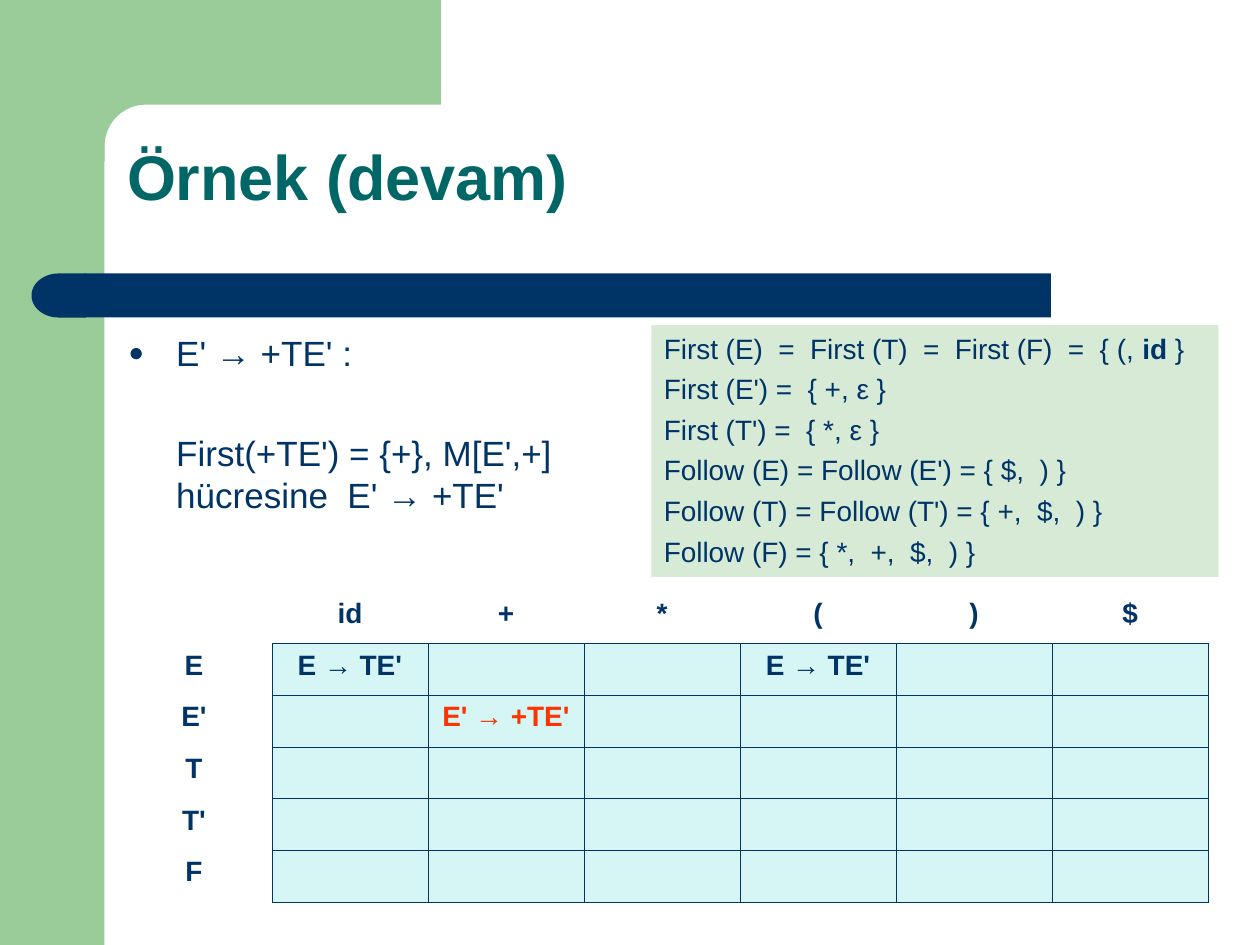
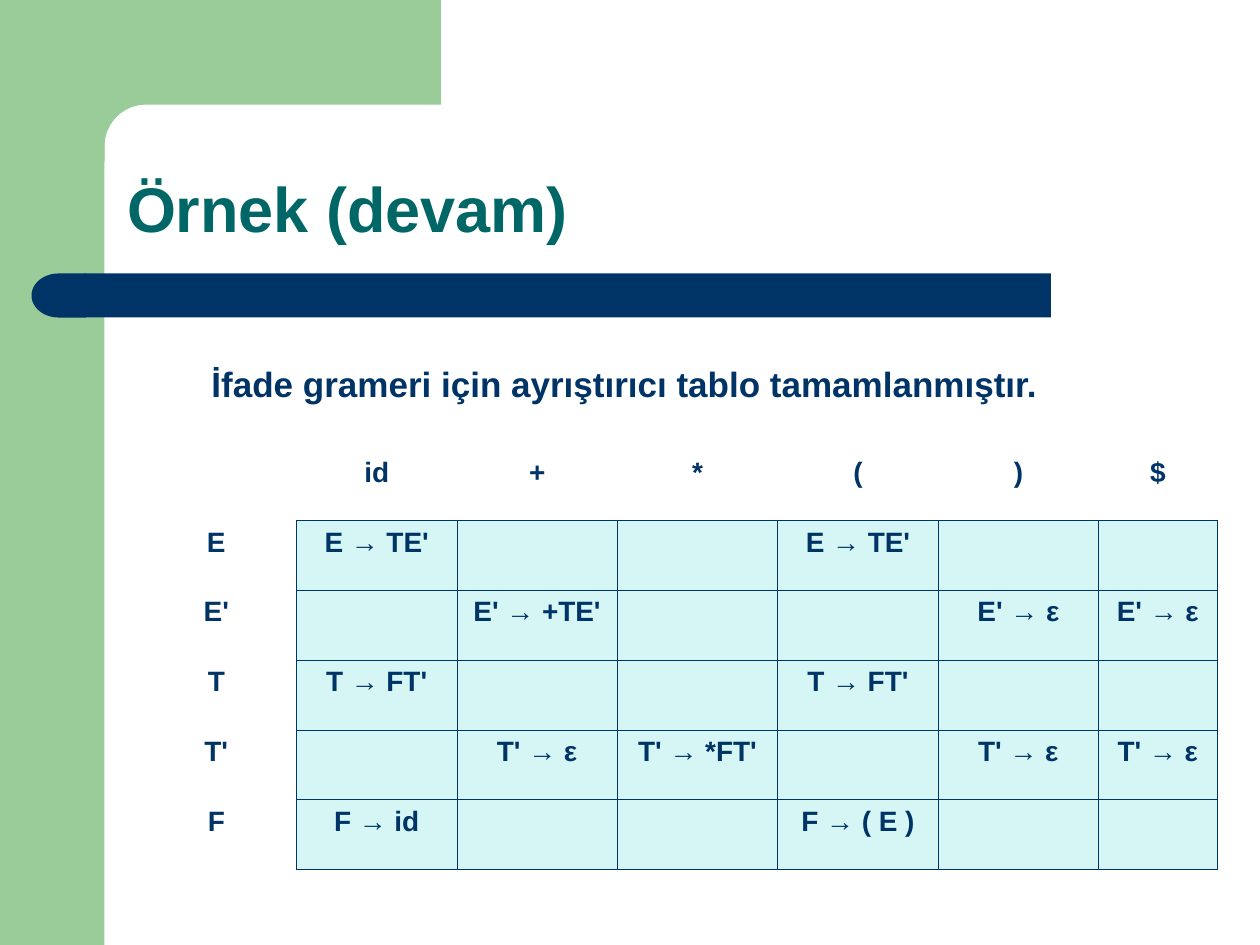
from dataclasses import dataclass
from math import cos, pi, sin
from typing import Any

from lxml.etree import SubElement
from pptx import Presentation
from pptx.dml.color import RGBColor
from pptx.enum.shapes import MSO_SHAPE
from pptx.enum.text import MSO_ANCHOR, PP_ALIGN
from pptx.oxml.ns import qn
from pptx.util import Inches, Pt

NAVY = RGBColor(0x00, 0x33, 0x66)
TEAL = RGBColor(0x00, 0x66, 0x66)
GREEN = RGBColor(0x99, 0xCC, 0x99)
PALE_GREEN = RGBColor(0xD6, 0xEA, 0xD6)
PALE_CYAN = RGBColor(0xD5, 0xF6, 0xF5)
RED = RGBColor(0xFF, 0x33, 0x00)

TITLE = {"size": Pt(36), "bold": True, "color": TEAL}
BODY = {"size": Pt(20), "bold": False, "color": NAVY}
STATEMENT = {"size": Pt(20), "bold": True, "color": NAVY}
SETS = {"size": Pt(16), "bold": False, "color": NAVY}
SETS_BOLD = {**SETS, "bold": True}
CELL = {"size": Pt(16), "bold": True, "color": NAVY}
NEW_RULE = {**CELL, "color": RED}

TERMINALS = ["id", "+", "*", "(", ")", "$"]
NONTERMINALS = ["E", "E'", "T", "T'", "F"]
BORDER_SIDES = ["L", "R", "T", "B"]
HANGING = Inches(0.38)


@dataclass
class Box:
    left: float
    top: float
    width: float
    height: float

    def emu(self) -> list[int]:
        return [Inches(v) for v in (self.left, self.top, self.width, self.height)]


@dataclass
class Band:
    preset: MSO_SHAPE
    box: Box
    color: RGBColor
    rotation: int = 0


@dataclass
class ParsingTable:
    box: Box
    last_column: float
    rules: dict[tuple[str, str], str]
    new_rule: str = ""


SIDE_BAND = Band(MSO_SHAPE.RECTANGLE, Box(0, 0, 0.83, 7.5), GREEN)
TITLE_BANDS = [
    Band(MSO_SHAPE.RECTANGLE, Box(0.67, 2.17, 7.67, 0.35), NAVY),
    Band(MSO_SHAPE.FLOWCHART_DELAY, Box(0.25, 2.17, 0.43, 0.35), NAVY, 180),
]


def paint(shape: Any, color: RGBColor) -> None:
    shape.shadow.inherit = False
    shape.fill.solid()
    shape.fill.fore_color.rgb = color
    shape.line.fill.background()


def add_band(slide: Any, band: Band) -> Any:
    shape = slide.shapes.add_shape(band.preset, *band.box.emu())
    shape.rotation = band.rotation
    paint(shape, band.color)
    return shape


def add_corner(slide: Any) -> None:
    """Green top block whose inner corner is a quarter circle."""
    edge, radius, steps = 0.83, 0.33, 12
    center = edge + radius
    angles = [pi / 2 * i / steps for i in range(steps + 1)]
    arc = [(center - radius * sin(a), center - radius * cos(a)) for a in angles]
    outline = [(3.5, 0), (3.5, edge), *arc, (edge, 1.28), (0.5, 1.28), (0.5, 0)]
    points = [(Inches(x), Inches(y)) for x, y in outline]
    builder = slide.shapes.build_freeform(*points[0])
    builder.add_line_segments(points[1:], close=True)
    paint(builder.convert_to_shape(), GREEN)


def write(paragraph: Any, text: str, style: dict[str, Any]) -> None:
    run = paragraph.add_run()
    run.text = text
    run.font.name = "Arial"
    for name, value in style.items():
        if name == "color":
            run.font.color.rgb = value
        else:
            setattr(run.font, name, value)


def add_text(slide: Any, box: Box) -> Any:
    frame = slide.shapes.add_textbox(*box.emu()).text_frame
    frame.word_wrap = True
    return frame


def start_slide(deck: Any, title_top: float) -> Any:
    """Blank slide with the shared bands and the title."""
    slide = deck.slides.add_slide(deck.slide_layouts[6])
    add_band(slide, SIDE_BAND)
    add_corner(slide)
    for band in TITLE_BANDS:
        add_band(slide, band)
    title = add_text(slide, Box(0.91, title_top, 8.51, 1.09))
    title.vertical_anchor = MSO_ANCHOR.BOTTOM
    title.paragraphs[0].line_spacing = 0.9
    write(title.paragraphs[0], "Örnek (devam)", TITLE)
    return slide


def set_borders(cell: Any, visible: str) -> None:
    properties = cell._tc.get_or_add_tcPr()
    for side in BORDER_SIDES:
        line = SubElement(properties, qn(f"a:ln{side}"), w=str(Pt(0.45)))
        if side in visible:
            fill = SubElement(line, qn("a:solidFill"))
            SubElement(fill, qn("a:srgbClr"), val=str(NAVY))
        else:
            SubElement(line, qn("a:noFill"))


def add_parsing_table(slide: Any, spec_: ParsingTable) -> None:
    grid = [["", *TERMINALS]]
    for head in NONTERMINALS:
        grid.append([head, *(spec_.rules.get((head, t), "") for t in TERMINALS)])

    table = slide.shapes.add_table(len(grid), len(grid[0]), *spec_.box.emu()).table
    table.first_row = table.horz_banding = False
    equal_width = (spec_.box.width - spec_.last_column) / len(TERMINALS)
    for column in table.columns:
        column.width = Inches(equal_width)
    table.columns[len(TERMINALS)].width = Inches(spec_.last_column)
    for row in table.rows:
        row.height = Inches(spec_.box.height / len(grid))

    for r, texts in enumerate(grid):
        for c, text in enumerate(texts):
            cell = table.cell(r, c)
            if r and c:
                set_borders(cell, "LRTB")
                cell.fill.solid()
                cell.fill.fore_color.rgb = PALE_CYAN
            else:
                set_borders(cell, "B" if c else "R" if r else "")
                cell.fill.background()
            if text:
                paragraph = cell.text_frame.paragraphs[0]
                paragraph.alignment = PP_ALIGN.CENTER
                write(paragraph, text, NEW_RULE if text == spec_.new_rule else CELL)


def add_rule_step(slide: Any) -> None:
    frame = add_text(slide, Box(0.92, 2.58, 4.12, 1.95))
    rule, result = frame.paragraphs[0], frame.add_paragraph()
    properties = rule._p.get_or_add_pPr()
    properties.set("marL", str(HANGING))
    properties.set("indent", str(-HANGING))
    bullet_color = SubElement(properties, qn("a:buClr"))
    SubElement(bullet_color, qn("a:srgbClr"), val=str(NAVY))
    SubElement(properties, qn("a:buSzPct"), val="75000")
    SubElement(properties, qn("a:buFont"), typeface="Arial")
    SubElement(properties, qn("a:buChar"), char="●")
    write(rule, "E' → +TE' :", BODY)

    result._p.get_or_add_pPr().set("marL", str(HANGING))
    result.space_before = Pt(33)
    write(result, "First(+TE') = {+}, M[E',+] hücresine  E' → +TE'", BODY)


def add_first_follow_sets(slide: Any) -> None:
    panel = add_band(slide, Band(MSO_SHAPE.RECTANGLE, Box(5.17, 2.58, 4.5, 2), PALE_GREEN))
    frame = panel.text_frame
    frame.word_wrap = True
    frame.vertical_anchor = MSO_ANCHOR.TOP
    lines = [
        [("First (E)  =  First (T)  =  First (F)  =  { (, ", SETS),
         ("id", SETS_BOLD), (" }", SETS)],
        [("First (E') =  { +, ε }", SETS)],
        [("First (T') =  { *, ε }", SETS)],
        [("Follow (E) = Follow (E') = { $,  ) }", SETS)],
        [("Follow (T) = Follow (T') = { +,  $,  ) }", SETS)],
        [("Follow (F) = { *,  +,  $,  ) }", SETS)],
    ]
    for i, runs in enumerate(lines):
        paragraph = frame.add_paragraph() if i else frame.paragraphs[0]
        paragraph.alignment = PP_ALIGN.LEFT
        if i:
            paragraph.space_before = Pt(4)
        for text, style in runs:
            write(paragraph, text, style)


def main() -> None:
    deck = Presentation()
    deck.slide_width, deck.slide_height = Inches(10), Inches(7.5)

    first_rules = {
        ("E", "id"): "E → TE'", ("E", "("): "E → TE'",
        ("E'", "+"): "E' → +TE'",
    }
    all_rules = {
        **first_rules,
        ("E'", ")"): "E' → ε", ("E'", "$"): "E' → ε",
        ("T", "id"): "T → FT'", ("T", "("): "T → FT'",
        ("T'", "+"): "T' → ε", ("T'", "*"): "T' → *FT'",
        ("T'", ")"): "T' → ε", ("T'", "$"): "T' → ε",
        ("F", "id"): "F → id", ("F", "("): "F → ( E )",
    }

    # Slide 1: entering the rule for E'
    step = start_slide(deck, 0.66)
    add_rule_step(step)
    add_first_follow_sets(step)
    add_parsing_table(step, ParsingTable(
        Box(0.92, 4.7, 8.67, 2.46), 1.24, first_rules, "E' → +TE'"))

    # Slide 2: the finished table
    finished = start_slide(deck, 0.91)
    add_parsing_table(finished, ParsingTable(Box(1.08, 3.58, 8.58, 3.32), 0.94, all_rules))
    statement = add_text(finished, Box(1.58, 2.83, 7.75, 0.44))
    write(statement.paragraphs[0],
          "İfade grameri için ayrıştırıcı tablo tamamlanmıştır.", STATEMENT)

    deck.save("out.pptx")


if __name__ == "__main__":
    main()
